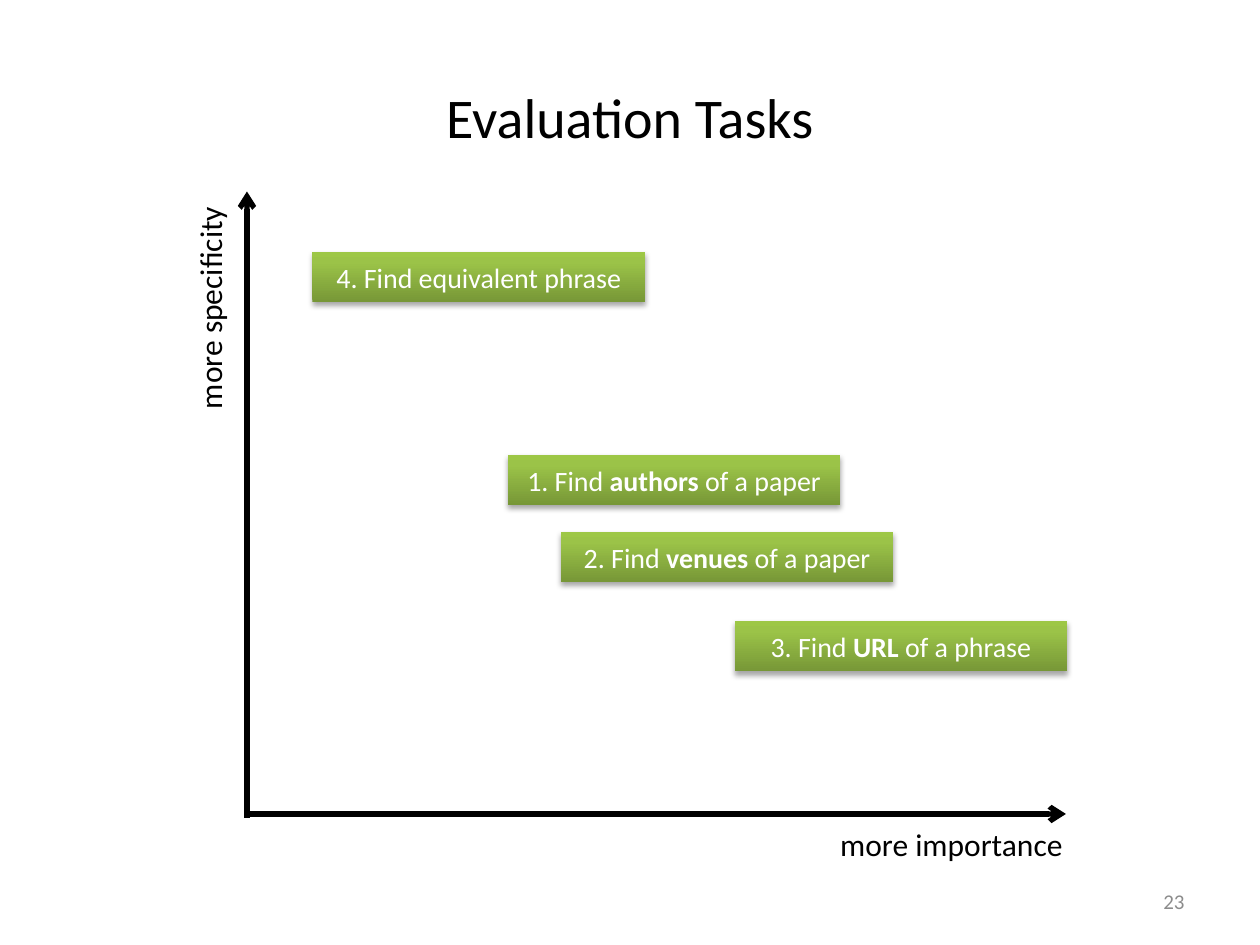
from copy import deepcopy
from lxml.etree import SubElement
from pptx import Presentation
from pptx.dml.color import RGBColor
from pptx.enum.shapes import MSO_CONNECTOR, MSO_SHAPE
from pptx.enum.text import MSO_ANCHOR, MSO_AUTO_SIZE, PP_ALIGN
from pptx.oxml.ns import qn
from pptx.util import Inches, Pt

HUES = {"ink": "000000", "page": "8C8C8C", "text": "FFFFFF",
        "deep": "779737", "mid": "9BC348", "light": "9DC746"}


class Deck:
    """Holds the style and the current slide."""

    def __init__(self, wide, high):
        self.show = Presentation()
        self.show.slide_width = Inches(wide)
        self.show.slide_height = Inches(high)
        self.slide = self.show.slides.add_slide(self.show.slide_layouts[6])
        self.face = "Calibri"

    def hue(self, name):
        return RGBColor.from_string(HUES[name])

    def fill_text(self, frame, parts, size, hue, align):
        para = frame.paragraphs[0]
        para.text = parts[0]
        for part in parts[1:]:
            para.add_run().text = part
        para.alignment = align
        for spot, run in enumerate(para.runs):
            run.font.name = self.face
            run.font.size = Pt(size)
            run.font.bold = spot % 2 == 1
            run.font.color.rgb = self.hue(hue)

    def text(self, text, spot, size, hue="ink", align=PP_ALIGN.LEFT):
        box = self.slide.shapes.add_textbox(*map(Inches, spot))
        box.text_frame.word_wrap = True
        box.text_frame.vertical_anchor = MSO_ANCHOR.MIDDLE
        self.fill_text(box.text_frame, [text], size, hue, align)

    def label(self, group, text, spot, turn=0):
        box = group.shapes.add_textbox(*map(Inches, spot))
        box.rotation = turn
        box.text_frame.word_wrap = False
        box.text_frame.auto_size = MSO_AUTO_SIZE.SHAPE_TO_FIT_TEXT
        self.fill_text(box.text_frame, [text], 18, "ink", PP_ALIGN.LEFT)

    def arrow(self, group, *ends):
        line = group.shapes.add_connector(
            MSO_CONNECTOR.STRAIGHT, *map(Inches, ends))
        line.line.width = Pt(3)
        line.line.color.rgb = self.hue("ink")
        form = line._element.spPr
        SubElement(form.find(qn("a:ln")), qn("a:tailEnd"), type="arrow")
        SubElement(form, qn("a:effectLst"))

    def shade(self, shape):
        shape.fill.gradient()
        shape.fill.gradient_angle = 90
        stops = shape._element.spPr.find(".//" + qn("a:gsLst"))
        stops.insert(1, deepcopy(stops[0]))
        marks = ((0, "deep"), (0.8, "mid"), (1, "light"))
        for stop, (place, hue) in zip(shape.fill.gradient_stops, marks):
            stop.position = place
            stop.color.rgb = self.hue(hue)

    def shadow(self, shape):
        shape.shadow.inherit = False
        glow = SubElement(
            shape._element.spPr.find(qn("a:effectLst")), qn("a:outerShdw"),
            blurRad=str(Pt(3.1)), dist=str(Pt(1.8)), dir="5400000",
            rotWithShape="0")
        tint = SubElement(glow, qn("a:srgbClr"), val=HUES["ink"])
        SubElement(tint, qn("a:alpha"), val="35000")

    def task(self, parts, left, top):
        box = self.slide.shapes.add_shape(
            MSO_SHAPE.RECTANGLE, *map(Inches, (left, top, 2.64, 0.4)))
        self.shade(box)
        box.line.fill.background()
        self.shadow(box)
        frame = box.text_frame
        frame.margin_left = frame.margin_right = 0
        frame.margin_top = frame.margin_bottom = 0
        frame.vertical_anchor = MSO_ANCHOR.MIDDLE
        self.fill_text(frame, parts, 16, "text", PP_ALIGN.CENTER)


def main():
    deck = Deck(10, 7.5)
    deck.text("Evaluation Tasks", (0.5, 0.3, 9, 1.25), 32,
              align=PP_ALIGN.CENTER)
    deck.text("23", (7.17, 6.95, 2.33, 0.4), 12, "page", PP_ALIGN.RIGHT)

    axes = deck.slide.shapes.add_group_shape()
    deck.arrow(axes, 1.96, 6.49, 1.96, 1.52)
    deck.arrow(axes, 1.95, 6.46, 8.46, 6.46)
    deck.label(axes, "more importance", (6.57, 6.5, 1.99, 0.4))
    deck.label(axes, "more specificity", (0.75, 2.23, 1.83, 0.4), 270)

    tasks = (
        (("1. Find ", "authors", " of a paper"), 4.03, 3.61),
        (("2. Find ", "venues", " of a paper"), 4.45, 4.22),
        (("3. Find ", "URL", " of a phrase"), 5.83, 4.93),
        (("4. Find equivalent phrase",), 2.48, 2),
    )
    for parts, left, top in tasks:
        deck.task(parts, left, top)
    deck.show.save("out.pptx")


if __name__ == "__main__":
    main()
